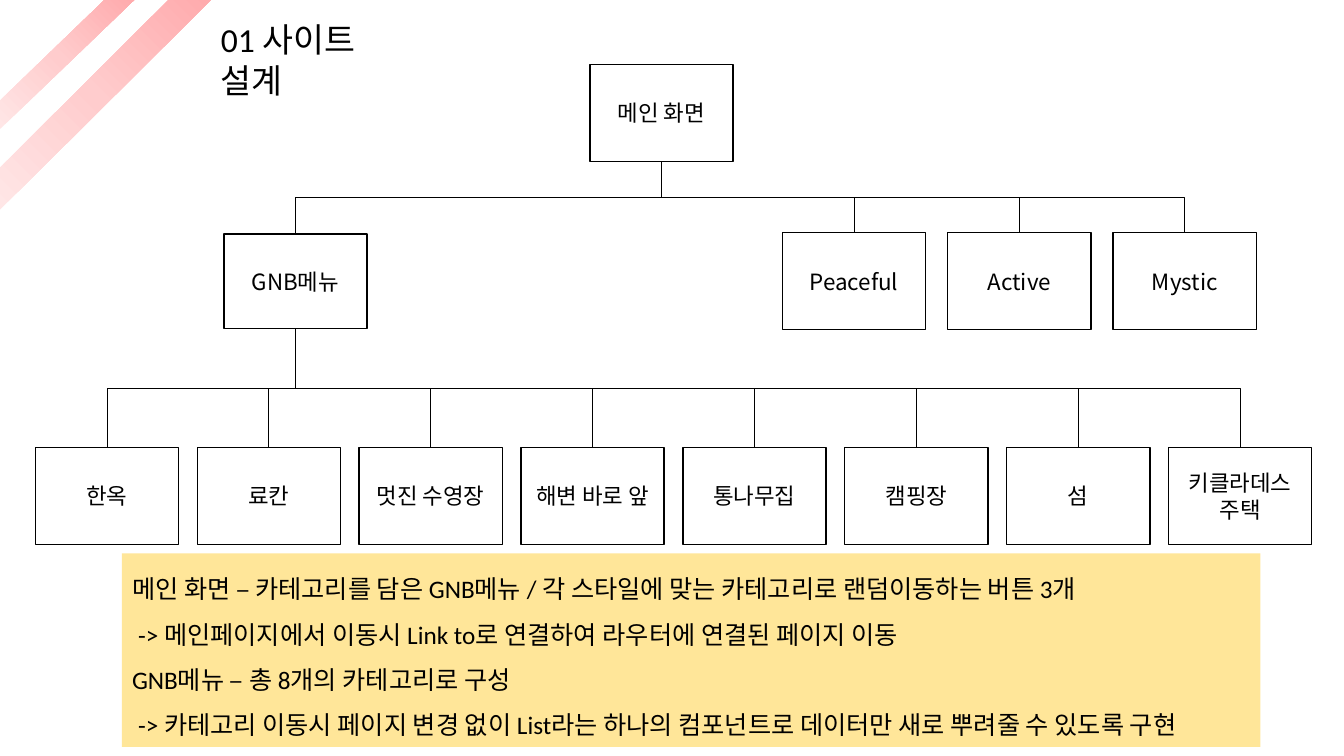
from dataclasses import dataclass

from lxml import etree
from pptx import Presentation
from pptx import util as u
from pptx.dml.color import RGBColor
from pptx.enum import shapes, text
from pptx.oxml import ns


@dataclass(frozen=True)
class Theme:
    ink: str = "000000"
    note: str = "FFE699"
    stripe: tuple = ("FFABAD", "FFCCCD", "FFE6E6")
    font: str = "Calibri"
    box_font: str = "Noto Sans CJK KR"
    title_size: int = 24
    note_size: int = 18
    box_size: int = 16
    box_line: float = 1
    link_line: float = 0.5


@dataclass(frozen=True)
class Box:
    left: float
    top: float
    width: float
    height: float

    @property
    def center(self):
        return self.left + self.width / 2

    @property
    def bottom(self):
        return self.top + self.height

    def emu(self):
        return [u.Inches(v) for v in (self.left, self.top, self.width, self.height)]


THEME = Theme()
SLIDE = Box(0, 0, 13.33, 7.5)
NODE_W, NODE_H = 1.42, 0.96
STYLES = ["Peaceful", "Active", "Mystic"]
STAYS = ["한옥", "료칸", "멋진 수영장", "해변 바로 앞", "통나무집", "캠핑장", "섬",
         "키클라데스\n주택"]
NOTES = [
    (0, "메인 화면 – 카테고리를 담은 GNB메뉴 / 각 스타일에 맞는 카테고리로 랜덤이동하는 버튼 3개"),
    (0.06, "-> 메인페이지에서 이동시 Link to로 연결하여 라우터에 연결된 페이지 이동"),
    (0, "GNB메뉴 – 총 8개의 카테고리로 구성"),
    (0.06, "-> 카테고리 이동시 페이지 변경 없이 List라는 하나의 컴포넌트로 데이터만 새로 뿌려줄 수 있도록 구현"),
]


def apply(target, **values):
    for name, value in values.items():
        setattr(target, name, value)


def place(shape, box):
    apply(shape, **dict(zip(("left", "top", "width", "height"), box.emu())))


def style_font(para, size, name):
    apply(para.font, size=u.Pt(size), name=name, bold=False)
    para.font.color.rgb = RGBColor.from_string(THEME.ink)


def stroke(line, width):
    line.color.rgb = RGBColor.from_string(THEME.ink)
    line.width = u.Pt(width)


def add_stripe(page, box, thickness):
    """Corner stripe with a gradient spreading from its top right."""
    stripe = page.shapes.add_shape(shapes.MSO_SHAPE.DIAGONAL_STRIPE, *box.emu())
    stripe.shadow.inherit = False
    stripe.adjustments[0] = thickness
    stripe.line.fill.background()
    stops = "".join(
        f'<a:gs pos="{i * 50000}"><a:srgbClr val="{color}"/></a:gs>'
        for i, color in enumerate(THEME.stripe))
    gradient = etree.fromstring(
        f'<a:gradFill {ns.nsdecls("a")} rotWithShape="1"><a:gsLst>{stops}</a:gsLst>'
        '<a:path path="circle"><a:fillToRect l="100000" b="100000"/></a:path></a:gradFill>')
    stripe.element.spPr.find(ns.qn("a:prstGeom")).addnext(gradient)


def add_title(page, box):
    title = page.shapes.title
    place(title, box)
    frame = title.text_frame
    frame.text = "01 사이트 설계"
    apply(frame, word_wrap=True, vertical_anchor=text.MSO_ANCHOR.TOP)
    frame.paragraphs[0].alignment = text.PP_ALIGN.LEFT
    style_font(frame.paragraphs[0], THEME.title_size, THEME.font)


def add_node(page, box, label):
    node = page.shapes.add_shape(shapes.MSO_SHAPE.RECTANGLE, *box.emu())
    node.shadow.inherit = False
    node.fill.background()
    stroke(node.line, THEME.box_line)
    frame = node.text_frame
    frame.text = label
    apply(frame, word_wrap=True, vertical_anchor=text.MSO_ANCHOR.MIDDLE)
    for para in frame.paragraphs:
        para.alignment = text.PP_ALIGN.CENTER
        style_font(para, THEME.box_size, THEME.box_font)
    return box


def add_link(page, start, end, kind=shapes.MSO_CONNECTOR.STRAIGHT):
    points = [u.Inches(v) for v in (*start, *end)]
    link = page.shapes.add_connector(kind, *points)
    stroke(link.line, THEME.link_line)
    etree.SubElement(link.element.spPr, ns.qn("a:effectLst"))
    return link


def add_corner(page, start, end):
    """Link that runs across, then down."""
    link = add_link(page, start, end, shapes.MSO_CONNECTOR.ELBOW)
    link.element.spPr.find(ns.qn("a:prstGeom")).set("prst", "bentConnector2")


def add_step(page, parent, child):
    """Link that runs down, across and down, as an elbow turned by 90 degrees."""
    x, y = (parent.center + child.center) / 2, (parent.bottom + child.top) / 2
    half_w, half_h = (child.top - parent.bottom) / 2, (parent.center - child.center) / 2
    link = add_link(page, (x - half_w, y - half_h), (x + half_w, y + half_h),
                    shapes.MSO_CONNECTOR.ELBOW)
    link.element.spPr.find(ns.qn("a:xfrm")).set("rot", "5400000")


def add_row(page, box, labels):
    """Equal nodes spread evenly over the box."""
    pitch = (box.width - NODE_W) / (len(labels) - 1)
    return [add_node(page, Box(box.left + i * pitch, box.top, NODE_W, box.height), label)
            for i, label in enumerate(labels)]


def add_site_map(page, box):
    main = add_node(page, Box(box.left + 5.5, box.top, NODE_W, NODE_H), "메인 화면")
    menu = add_node(page, Box(box.left + 1.87, box.top + 1.68, NODE_W, 0.94), "GNB메뉴")
    styles = add_row(page, Box(box.left + 7.41, box.top + 1.67, 4.7, NODE_H), STYLES)
    stays = add_row(page, Box(box.left, box.bottom - NODE_H, box.width, NODE_H), STAYS)

    add_step(page, main, menu)
    bus = (main.bottom + menu.top) / 2
    start = main.center
    for style in styles:
        add_corner(page, (start, bus), (style.center, style.top))
        start = style.center

    add_step(page, menu, stays[0])
    bus = (menu.bottom + stays[0].top) / 2
    add_corner(page, (menu.center, bus), (stays[-1].center, stays[-1].top))
    for stay in stays[1:-1]:
        add_link(page, (stay.center, stay.top), (stay.center, bus))


def add_notes_panel(page, box):
    panel = page.placeholders[1]
    place(panel, box)
    panel.fill.solid()
    panel.fill.fore_color.rgb = RGBColor.from_string(THEME.note)
    frame = panel.text_frame
    frame.text = "\n".join(line for _, line in NOTES)
    apply(frame, word_wrap=True, vertical_anchor=text.MSO_ANCHOR.TOP,
          auto_size=text.MSO_AUTO_SIZE.NONE)
    for para, (indent, _) in zip(frame.paragraphs, NOTES):
        props = para._p.get_or_add_pPr()
        props.set("marL", str(u.Inches(indent)))
        props.set("indent", "0")
        etree.SubElement(props, ns.qn("a:buNone"))
        apply(para, line_spacing=1.5, space_before=u.Pt(0))
        style_font(para, THEME.note_size, THEME.font)


def main():
    deck = Presentation()
    apply(deck, slide_width=u.Inches(SLIDE.width), slide_height=u.Inches(SLIDE.height))
    page = deck.slides.add_slide(deck.slide_layouts[1])
    add_stripe(page, Box(0, 0, 1.33, 1.28), 0.78)
    add_stripe(page, Box(0, 0, 2.09, 2.08), 0.8)
    add_title(page, Box(2.09, 0.14, 2.1, 0.5))
    add_site_map(page, Box(0.35, 0.64, 12.66, 4.76))
    add_notes_panel(page, Box(1.21, 5.49, 11.29, 1.92))
    deck.save("out.pptx")


if __name__ == "__main__":
    main()
